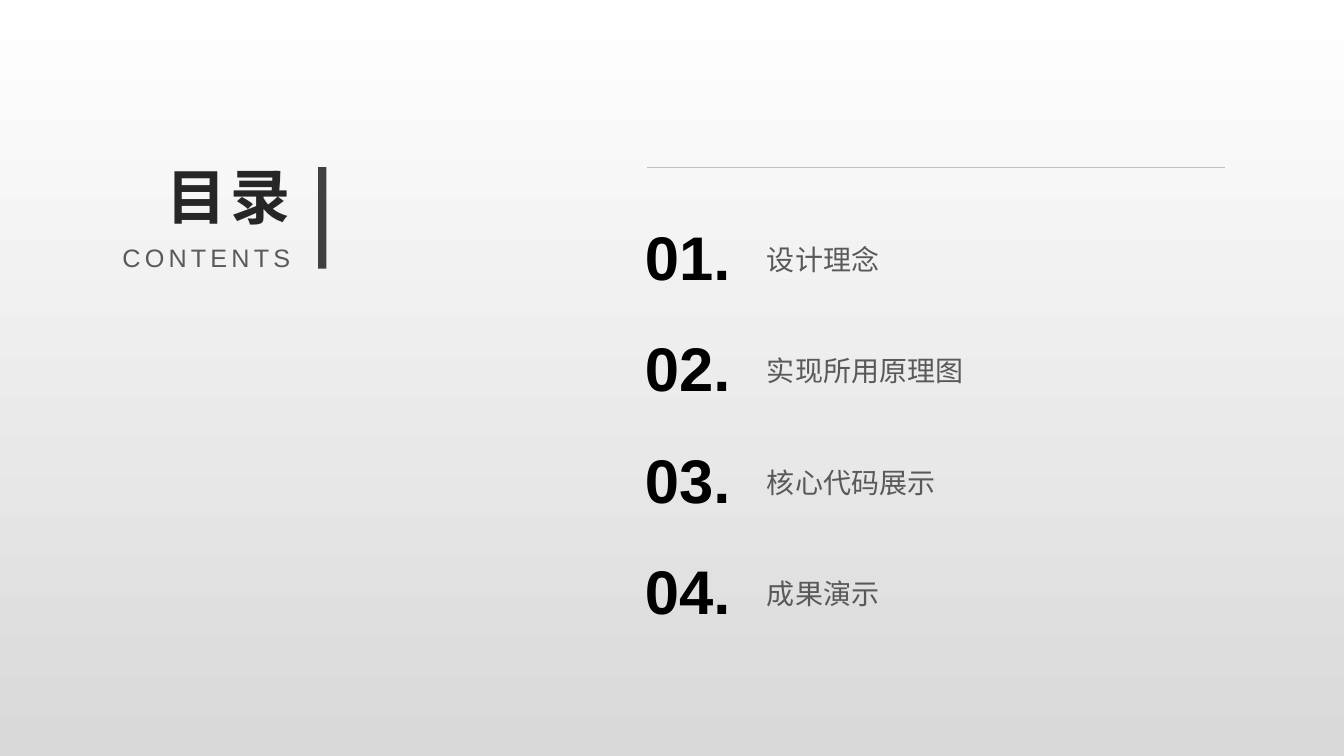
import pptx
import pptx.util
import pptx.dml.color
import pptx.enum.shapes
import pptx.enum.text
import pptx.oxml.ns
import lxml.etree

Cm = pptx.util.Cm
LEFT = pptx.enum.text.PP_ALIGN.LEFT
RIGHT = pptx.enum.text.PP_ALIGN.RIGHT


def color(hex_code):
    return pptx.dml.color.RGBColor.from_string(hex_code)


def add_text(page, text, left, top, width, height, size, hex_code,
             bold=False, align=LEFT, line_spacing=1.0, tracking=0, wrap=True):
    box = page.shapes.add_textbox(Cm(left), Cm(top), Cm(width), Cm(height))
    box.text_frame.word_wrap = wrap
    box.text_frame.vertical_anchor = pptx.enum.text.MSO_ANCHOR.MIDDLE
    para = box.text_frame.paragraphs[0]
    para.alignment = align
    para.line_spacing = line_spacing
    span = para.add_run()
    span.text = text
    span.font.name = "Arial"
    span.font.size = pptx.util.Pt(size)
    span.font.bold = bold
    span.font.color.rgb = color(hex_code)
    if tracking:
        span.font._element.set("spc", str(tracking * 100))


deck = pptx.Presentation()
deck.slide_width = Cm(33.87)
deck.slide_height = Cm(19.05)
page = deck.slides.add_slide(deck.slide_layouts[6])

# Background: white at the top to grey at the bottom
backdrop = page.background.fill
backdrop.gradient()
backdrop.gradient_angle = 270
for stop, position, hex_code in zip(backdrop.gradient_stops, (0, 1), ("FFFFFF", "D9D9D9")):
    stop.position = position
    stop.color.rgb = color(hex_code)

# Heading with its vertical bar
add_text(page, "目录", 2.44, 3.86, 5.13, 2.13, 42.9, "262626",
         bold=True, align=RIGHT, tracking=3)
add_text(page, "CONTENTS", 2.44, 5.99, 5.13, 1.02, 18, "595959",
         align=RIGHT, tracking=3)
bar = page.shapes.add_shape(pptx.enum.shapes.MSO_SHAPE.RECTANGLE,
                            Cm(8.02), Cm(4.21), Cm(0.21), Cm(2.56))
bar.shadow.inherit = False
bar.fill.solid()
bar.fill.fore_color.rgb = color("404040")
bar.line.fill.background()

# Thin rule above the list
rule = page.shapes.add_connector(pptx.enum.shapes.MSO_CONNECTOR.STRAIGHT,
                                 Cm(16.3), Cm(4.22), Cm(30.88), Cm(4.22))
rule.line.color.rgb = color("BFBFBF")
rule.line.width = pptx.util.Pt(0.5)
lxml.etree.SubElement(rule._element.spPr, pptx.oxml.ns.qn("a:effectLst"))

# Numbered chapters, evenly spaced
chapters = ["设计理念", "实现所用原理图", "核心代码展示", "成果演示"]
for index, chapter in enumerate(chapters):
    top = 5.38 + index * 2.81
    add_text(page, f"{index + 1:02d}.", 16, top, 2.67, 2.13, 44, "000000",
             bold=True, wrap=False)
    add_text(page, chapter, 19.08, top, 11.79, 2.13, 20, "595959", line_spacing=1.2)

deck.save("out.pptx")
